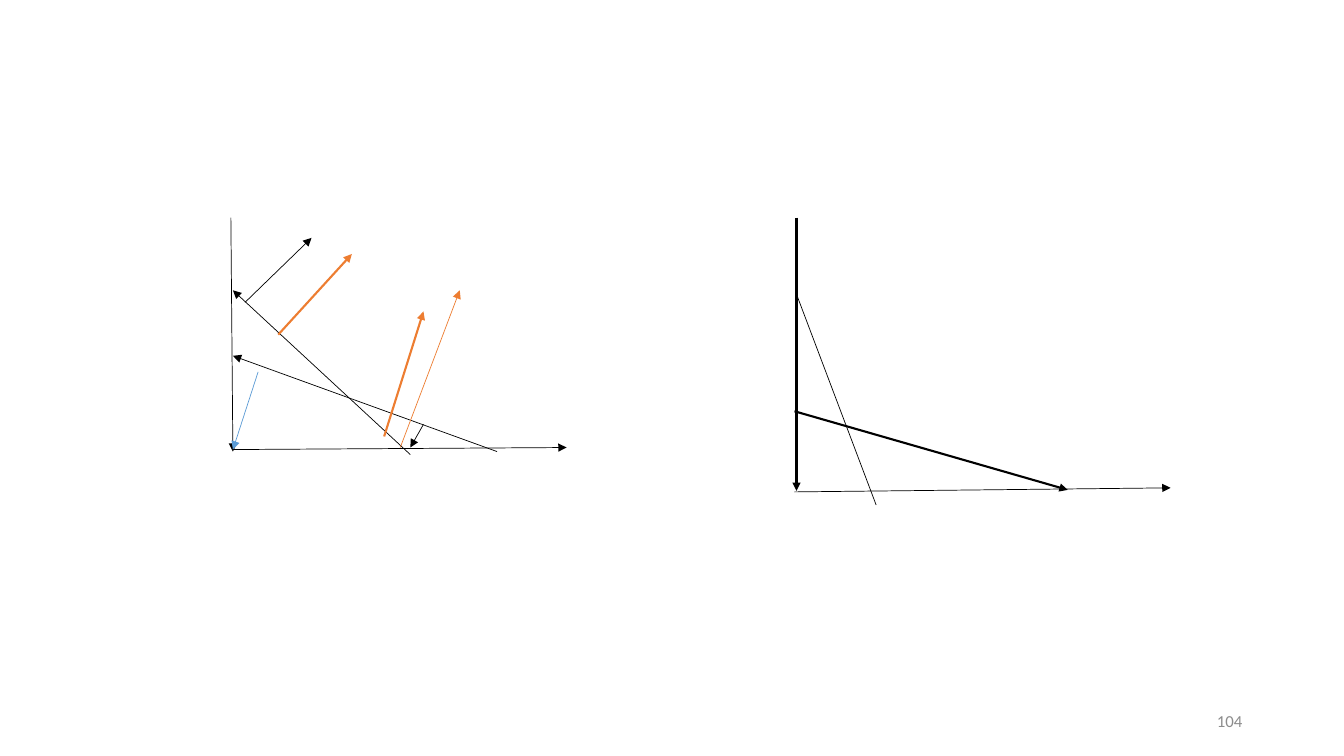
"""Build a slide with two line diagrams of axes, constraints and gradient arrows."""
from lxml import etree
from pptx import Presentation
from pptx.dml.color import RGBColor
from pptx.enum.shapes import MSO_CONNECTOR
from pptx.enum.text import MSO_ANCHOR, PP_ALIGN
from pptx.oxml.ns import qn
from pptx.util import Inches, Pt

STRAIGHT = MSO_CONNECTOR.STRAIGHT
MIDDLE = MSO_ANCHOR.MIDDLE
RIGHT = PP_ALIGN.RIGHT
COLORS = {"black": "000000", "blue": "5B9BD5", "orange": "ED7D31", "gray": "8C8C8C"}
THIN, THICK = 0.5, 1.5


def add_line(page, start, end, color="black", width=THIN, arrow=True):
    points = [Inches(value) for value in (*start, *end)]
    line = page.shapes.add_connector(STRAIGHT, *points)
    line.line.color.rgb = RGBColor.from_string(COLORS[color])
    line.line.width = Pt(width)
    if arrow:
        outline = line.line._get_or_add_ln()
        etree.SubElement(outline, qn("a:tailEnd"), type="triangle")
    etree.SubElement(line._element.spPr, qn("a:effectLst"))


deck = Presentation()
deck.slide_width = Inches(13.33)
deck.slide_height = Inches(7.5)
page = deck.slides.add_slide(deck.slide_layouts[6])

left_axes = [((2.29, 2.16), (2.31, 4.48)), ((2.31, 4.46), (5.62, 4.44))]
left_constraints = [((4.93, 4.48), (2.31, 3.53)), ((4.07, 4.51), (2.31, 2.88))]
left_normals = [((4.2, 4.21), (4.07, 4.44)), ((2.43, 3), (3.09, 2.36))]
for start, end in left_axes + left_constraints:
    add_line(page, start, end)
add_line(page, (2.56, 3.69), (2.31, 4.46), "blue")
for start, end in left_normals:
    add_line(page, start, end)

gradients = [
    ((3.81, 4.33), (4.2, 3.09), THICK),
    ((2.76, 3.32), (3.49, 2.52), THICK),
    ((3.97, 4.44), (4.56, 2.88), THIN),
]
for start, end, width in gradients:
    add_line(page, start, end, "orange", width)

add_line(page, (7.9, 2.16), (7.9, 4.87), width=THICK)
add_line(page, (7.88, 4.88), (11.61, 4.84))
add_line(page, (8.69, 5.01), (7.9, 2.92), arrow=False)
add_line(page, (7.88, 4.08), (10.59, 4.86), width=THICK)

number_box = page.shapes.add_textbox(Inches(9.42), Inches(6.95), Inches(3), Inches(0.4))
frame = number_box.text_frame
frame.word_wrap = True
frame.vertical_anchor = MIDDLE
para = frame.paragraphs[0]
para.text = "104"
para.alignment = RIGHT
para.font.name = "Calibri"
para.font.size = Pt(12)
para.font.color.rgb = RGBColor.from_string(COLORS["gray"])

deck.save("out.pptx")
